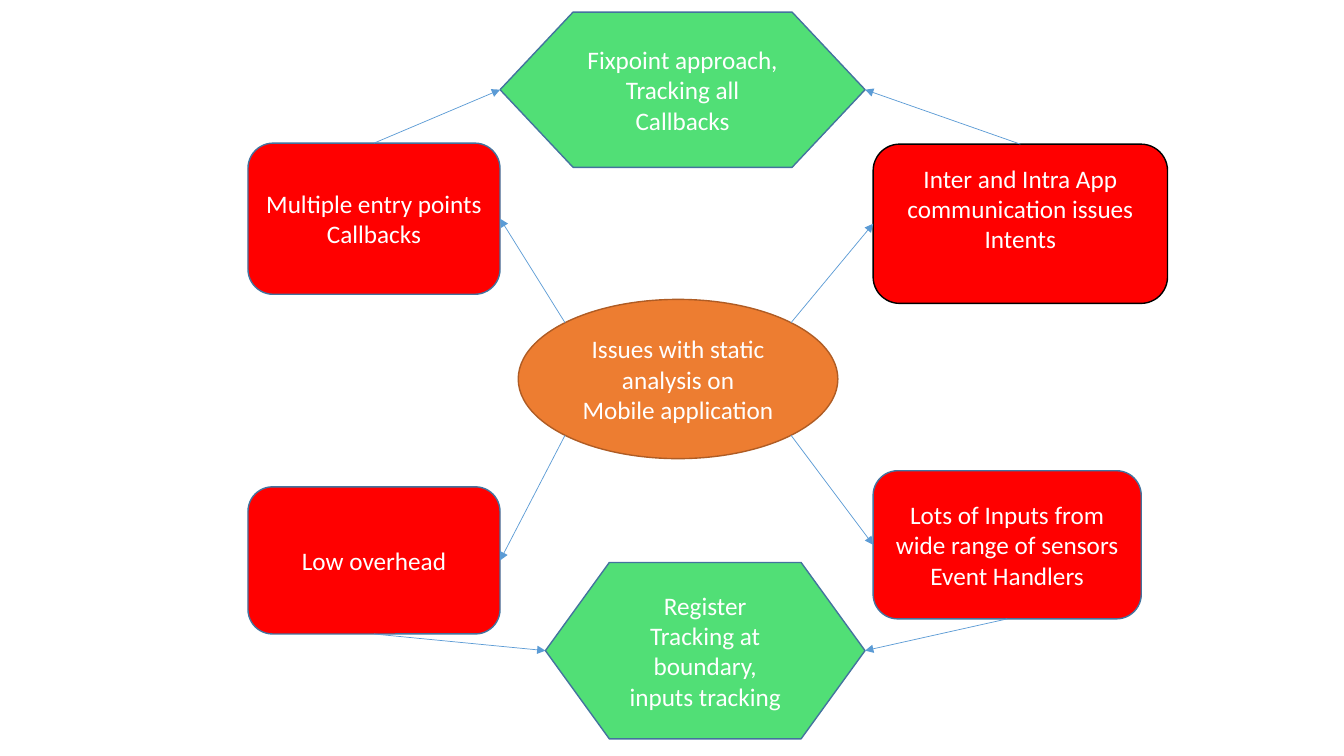
import math

import lxml.etree
import pptx
import pptx.dml.color
import pptx.enum.shapes
import pptx.enum.text
import pptx.oxml.ns
import pptx.util
from pptx.util import Inches

SHAPE = pptx.enum.shapes.MSO_SHAPE
RED, GREEN, ORANGE = "FF0000", "51DF76", "ED7D31"
BLUE_EDGE, ARROW_BLUE = "43739E", "5B9BD5"
TOP, LEFT, BOTTOM, RIGHT = range(4)


def color(value):
    return pptx.dml.color.RGBColor.from_string(value)


def add_node(s, kind, box, fill, edge, lines, bottom_inset=0.05):
    """Add a filled shape with one centred paragraph per line."""
    sp = s.shapes.add_shape(kind, *map(Inches, box))
    sp.shadow.inherit = False
    sp.fill.solid()
    sp.fill.fore_color.rgb = color(fill)
    sp.line.color.rgb = color(edge)
    sp.line.width = pptx.util.Pt(1)
    tf = sp.text_frame
    tf.word_wrap = True
    tf.vertical_anchor = pptx.enum.text.MSO_ANCHOR.MIDDLE
    tf.margin_bottom = Inches(bottom_inset)
    for i, line in enumerate(lines):
        p = tf.paragraphs[0] if i == 0 else tf.add_paragraph()
        p.text = line
        p.alignment = pptx.enum.text.PP_ALIGN.CENTER
        p.font.name = "Calibri"
        p.font.size = pptx.util.Pt(18)
        p.font.color.rgb = color("FFFFFF")
    return sp


def add_arrow(s, target, target_side, source=None, source_side=None, start=(0, 0)):
    """Add an arrow to a target's side, from a source's side or a start point."""
    straight = pptx.enum.shapes.MSO_CONNECTOR.STRAIGHT
    c = s.shapes.add_connector(straight, *start, *start)
    if source is not None:
        c.begin_connect(source, source_side)
    c.end_connect(target, target_side)
    c.line.color.rgb = color(ARROW_BLUE)
    c.line.width = pptx.util.Pt(0.5)
    qn = pptx.oxml.ns.qn
    lxml.etree.SubElement(c.line._get_or_add_ln(), qn("a:tailEnd"), type="triangle")
    lxml.etree.SubElement(c._element.spPr, qn("a:effectLst"))


def ellipse_point(sp, dx, dy):
    """Return the point of an ellipse on the diagonal given by two signs."""
    k = math.sqrt(0.5) / 2
    return (round(sp.left + sp.width * (0.5 + dx * k)),
            round(sp.top + sp.height * (0.5 + dy * k)))


def main():
    prs = pptx.Presentation()
    prs.slide_width, prs.slide_height = Inches(13.33), Inches(7.5)
    s = prs.slides.add_slide(prs.slide_layouts[6])

    # Central topic
    topic = add_node(s, SHAPE.OVAL, (5.14, 2.97, 3.17, 1.58), ORANGE, "AF5C24",
                     ["Issues with static analysis on", "Mobile application"])

    # Issues
    box = SHAPE.ROUNDED_RECTANGLE
    intents = add_node(s, box, (8.66, 1.43, 2.92, 1.58), RED, "000000",
                       ["Inter and Intra App communication issues", "Intents"],
                       bottom_inset=0.35)
    callbacks = add_node(s, box, (2.46, 1.42, 2.5, 1.5), RED, BLUE_EDGE,
                         ["Multiple entry points", "Callbacks"])
    overhead = add_node(s, box, (2.46, 4.83, 2.5, 1.46), RED, BLUE_EDGE,
                        ["Low overhead"])
    inputs = add_node(s, box, (8.66, 4.67, 2.66, 1.47), RED, BLUE_EDGE,
                      ["Lots of Inputs from wide range of sensors", "Event Handlers"])

    # Remedies
    hexagon = SHAPE.FLOWCHART_PREPARATION
    fixpoint = add_node(s, hexagon, (4.96, 0.12, 3.62, 1.54), GREEN, BLUE_EDGE,
                        ["Fixpoint approach, Tracking all Callbacks"])
    register = add_node(s, hexagon, (5.41, 5.58, 3.17, 1.75), GREEN, BLUE_EDGE,
                        ["Register Tracking at boundary, inputs tracking"])

    # Arrows from the topic to each issue, and from each issue to its remedy
    for issue, remedy, dx, dy in [(callbacks, fixpoint, -1, -1),
                                  (intents, fixpoint, 1, -1),
                                  (overhead, register, -1, 1),
                                  (inputs, register, 1, 1)]:
        inner, outer = (RIGHT, LEFT) if dx < 0 else (LEFT, RIGHT)
        add_arrow(s, issue, inner, start=ellipse_point(topic, dx, dy))
        add_arrow(s, remedy, outer, issue, TOP if dy < 0 else BOTTOM)

    prs.save("out.pptx")


if __name__ == "__main__":
    main()
